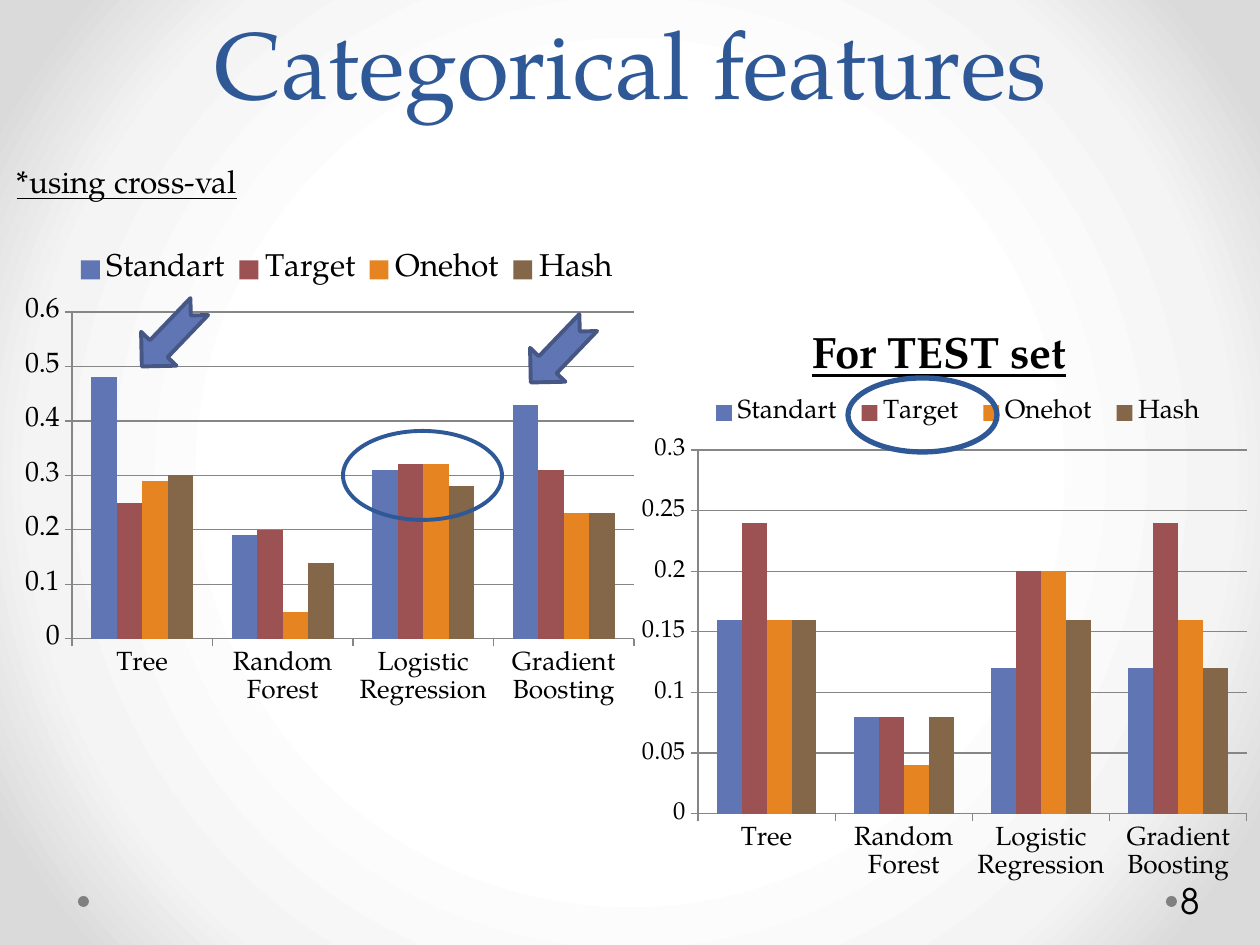
from dataclasses import dataclass

from pptx import Presentation
from pptx import util as u
from pptx.chart.data import CategoryChartData
from pptx.dml.color import RGBColor
from pptx.enum import chart as charts, shapes, text
from pptx.oxml import parse_xml
from pptx.oxml.ns import nsdecls

PX = 914400 / 126
SERIF, SANS = "TeX Gyre Pagella", "TeX Gyre Adventor"
NAVY, BLUE, BLACK, GREY = "2F5897", "6076B4", "000000", "868686"
CATEGORIES = ["Tree", "Random Forest", "Logistic Regression", "Gradient Boosting"]
SERIES_COLORS = {"Standart": BLUE, "Target": "9C5252", "Onehot": "E68422", "Hash": "846648"}


@dataclass
class Frame:
    left: int
    top: int
    width: int
    height: int

    def emu(self) -> list[int]:
        """Return the four lengths in EMU."""
        return [round(n * PX) for n in (self.left, self.top, self.width, self.height)]


@dataclass
class BarChart:
    frame: Frame
    plot: Frame
    legend: Frame
    rows: list[list[float]]
    top_value: float
    step: float
    value_size: int
    legend_size: int


@dataclass
class Label:
    words: str
    frame: Frame
    size: int
    color: str = BLACK
    face: str = SERIF
    bold: bool = False
    underline: bool = False
    wrap: bool = True
    align: text.PP_ALIGN = text.PP_ALIGN.LEFT
    anchor: text.MSO_ANCHOR = text.MSO_ANCHOR.TOP
    line_height: int = 0
    inset: int = 13


@dataclass
class Mark:
    kind: shapes.MSO_SHAPE
    frame: Frame
    fill: str = ""
    line: str = ""
    weight: float = 0
    rotation: float = 0


CHARTS = [
    BarChart(Frame(630, 381, 630, 512), Frame(698, 450, 549, 364), Frame(700, 395, 516, 36),
             [[0.16, 0.08, 0.12, 0.12], [0.24, 0.08, 0.2, 0.24],
              [0.16, 0.04, 0.2, 0.16], [0.16, 0.08, 0.16, 0.12]], 0.3, 0.05, 14, 15),
    BarChart(Frame(13, 236, 635, 481), Frame(72, 312, 562, 327), Frame(67, 250, 560, 40),
             [[0.48, 0.19, 0.31, 0.43], [0.25, 0.2, 0.32, 0.31],
              [0.29, 0.05, 0.32, 0.23], [0.3, 0.14, 0.28, 0.23]], 0.6, 0.1, 16, 18),
]
LABELS = [
    Label("8", Frame(1177, 876, 77, 50), 20, face=SANS, anchor=text.MSO_ANCHOR.MIDDLE, inset=4),
    Label("Categorical features", Frame(63, 0, 1134, 125), 54, NAVY, align=text.PP_ALIGN.CENTER,
          anchor=text.MSO_ANCHOR.BOTTOM, line_height=58),
    Label("*using cross-val", Frame(4, 156, 456, 50), 18, underline=True),
    Label("For TEST set", Frame(799, 319, 284, 66), 25, bold=True, underline=True, wrap=False),
]
DOTS = [Mark(shapes.MSO_SHAPE.OVAL, Frame(left, 896, 11, 11), "808080") for left in (1166, 78)]
RINGS = [
    Mark(shapes.MSO_SHAPE.OVAL, Frame(343, 431, 159, 89), line=NAVY, weight=2.25),
    Mark(shapes.MSO_SHAPE.OVAL, Frame(848, 378, 149, 74), line=NAVY, weight=3),
]
ARROWS = [Mark(shapes.MSO_SHAPE.NOTCHED_RIGHT_ARROW, Frame(left, top, 83, 49), BLUE, "475785", 2.25, 133.8)
          for left, top in ((518, 328), (129, 312))]


def rgb(color: str) -> RGBColor:
    """Turn a hex string into a colour."""
    return RGBColor.from_string(color)


def add_background(page) -> None:
    """Give the page a circular grey gradient."""
    stops = "".join(f'<a:gs pos="{at}000"><a:srgbClr val="{color}"/></a:gs>'
                    for at, color in ((50, "FFFFFF"), (76, "F4F4F4"), (92, "DADADA")))
    page.element.cSld.insert(0, parse_xml(
        f'<p:bg {nsdecls("p", "a")}><p:bgPr><a:gradFill><a:gsLst>{stops}</a:gsLst>'
        '<a:path path="circle"><a:fillToRect l="50000" t="50000" r="50000" b="50000"/></a:path>'
        '</a:gradFill><a:effectLst/></p:bgPr></p:bg>'))


def layout(part: Frame, whole: Frame, target: str = "") -> object:
    """Build a manual chart layout that puts a part inside the whole."""
    values = {"x": (part.left - whole.left) / whole.width, "y": (part.top - whole.top) / whole.height,
              "w": part.width / whole.width, "h": part.height / whole.height}
    modes = '<c:xMode val="edge"/><c:yMode val="edge"/>'
    sizes = "".join(f'<c:{key} val="{value:.4f}"/>' for key, value in values.items())
    return parse_xml(f'<c:layout {nsdecls("c")}><c:manualLayout>{target}{modes}{sizes}'
                     '</c:manualLayout></c:layout>')


def set_font(font, size: int, color: str = BLACK, face: str = SERIF) -> None:
    """Set the size, colour and face of a font."""
    font.size, font.name = u.Pt(size), face
    font.color.rgb = rgb(color)


def add_bar_chart(page, item: BarChart) -> None:
    """Draw a clustered column chart with its legend on top."""
    data = CategoryChartData()
    data.categories = CATEGORIES
    for name, row in zip(SERIES_COLORS, item.rows):
        data.add_series(name, row)
    chart = page.shapes.add_chart(charts.XL_CHART_TYPE.COLUMN_CLUSTERED, *item.frame.emu(), data).chart
    set_font(chart.font, 10)
    chart.has_title = False
    bars = chart.plots[0]
    bars.gap_width, bars.overlap, bars.vary_by_categories = 150, 0, False
    for series in bars.series:
        series.format.fill.solid()
        series.format.fill.fore_color.rgb = rgb(SERIES_COLORS[series.name])
    values = chart.value_axis
    values.minimum_scale, values.maximum_scale, values.major_unit = 0, item.top_value, item.step
    values.has_major_gridlines = True
    for axis, size in ((chart.category_axis, 15), (values, item.value_size)):
        set_font(axis.tick_labels.font, size)
        axis.major_tick_mark = charts.XL_TICK_MARK.OUTSIDE
        axis.format.line.color.rgb = rgb(GREY)
    values.major_gridlines.format.line.color.rgb = rgb(GREY)
    chart.has_legend = True
    legend = chart.legend
    legend.position, legend.include_in_layout = charts.XL_LEGEND_POSITION.TOP, False
    set_font(legend.font, item.legend_size)
    area = chart.element.find(".//{*}plotArea")
    for old in area.findall("{*}layout") + chart.element.findall(".//{*}legend/{*}layout"):
        old.getparent().remove(old)
    area.insert(0, layout(item.plot, item.frame, '<c:layoutTarget val="inner"/>'))
    chart.element.find(".//{*}legendPos").addnext(layout(item.legend, item.frame))


def add_label(page, item: Label) -> None:
    """Draw a text box with one paragraph."""
    frame = page.shapes.add_textbox(*item.frame.emu()).text_frame
    frame.word_wrap, frame.vertical_anchor = item.wrap, item.anchor
    frame.margin_left = round(item.inset * PX)
    frame.text = item.words
    para = frame.paragraphs[0]
    para.alignment = item.align
    if item.line_height:
        para.line_spacing = u.Pt(item.line_height)
    span = para.runs[0]
    set_font(span.font, item.size, item.color, item.face)
    span.font.bold, span.font.underline = item.bold, item.underline


def add_mark(page, item: Mark) -> None:
    """Draw a dot, ring or arrow."""
    shape = page.shapes.add_shape(item.kind, *item.frame.emu())
    shape.shadow.inherit = False
    shape.rotation = item.rotation
    if item.fill:
        shape.fill.solid()
        shape.fill.fore_color.rgb = rgb(item.fill)
    else:
        shape.fill.background()
    if item.line:
        shape.line.color.rgb = rgb(item.line)
        shape.line.width = u.Pt(item.weight)
    else:
        shape.line.fill.background()


def main() -> None:
    """Build and save the deck."""
    deck = Presentation()
    deck.slide_width, deck.slide_height = u.Inches(10), u.Inches(7.5)
    page = deck.slides.add_slide(deck.slide_layouts[6])
    add_background(page)
    draw = {Mark: add_mark, BarChart: add_bar_chart, Label: add_label}
    for item in DOTS + CHARTS + LABELS + RINGS + ARROWS:
        draw[type(item)](page, item)
    deck.save("out.pptx")


if __name__ == "__main__":
    main()
